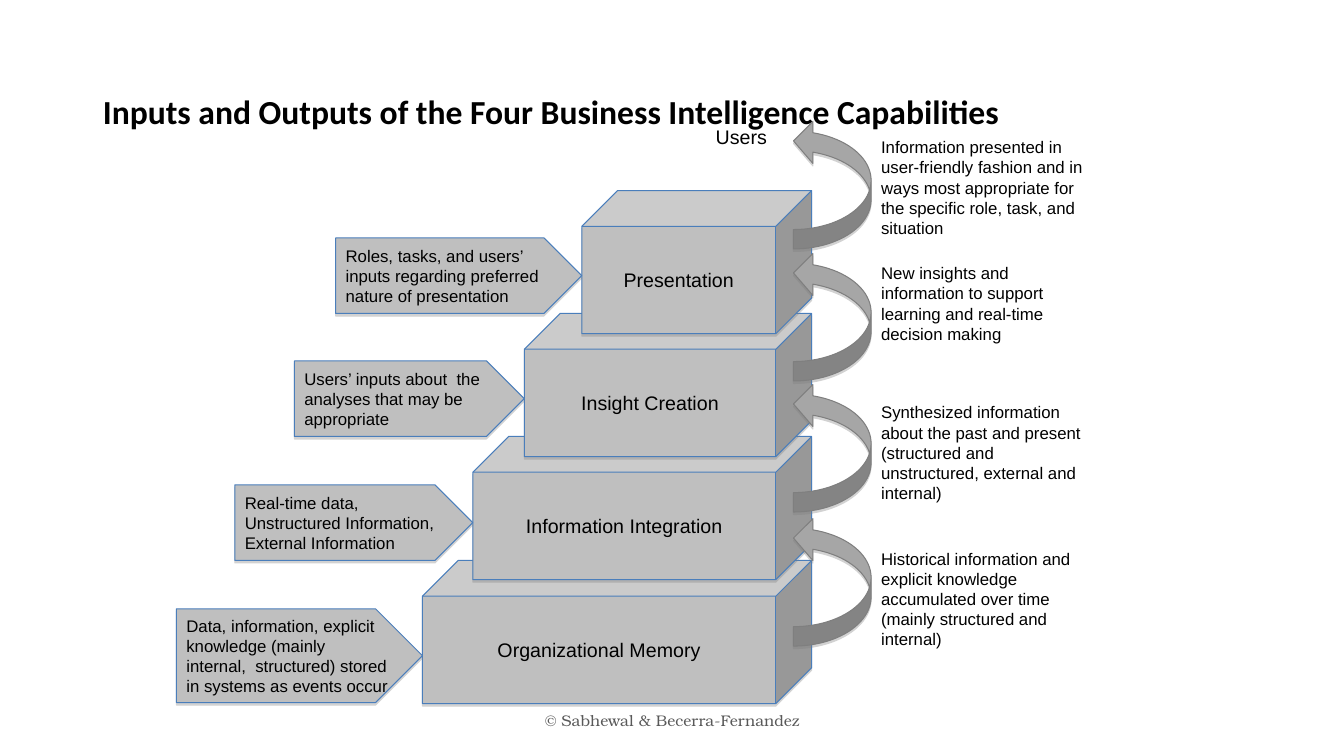
"""Build the slide on inputs and outputs of the four business intelligence capabilities."""
from lxml import etree
from pptx import Presentation
from pptx.dml.color import RGBColor
from pptx.enum import shapes, text
from pptx.oxml.ns import qn
from pptx.util import Pt

PX = 9144
COLORS = {"block": "BFBFBF", "edge": "4A7EBB", "arrow": "A6A6A6", "arrow_edge": "7F7F7F",
          "shadow": "808080", "text": "000000", "footer": "595959"}
KINDS = shapes.MSO_SHAPE
ALIGN = text.PP_ALIGN
CUBE_RIGHT, CUBE_HEIGHT = 805, 142

# name, cube left, cube top, (input top, width, height), input, arrow top, output top, (width, height), output
LEVELS = [
    ("Organizational Memory", 419, 556, (604, 244, 93),
     "Data, information, explicit knowledge (mainly internal,  structured) stored in systems as events occur",
     513, 539, (228, 111),
     "Historical information and explicit knowledge accumulated over time (mainly structured and internal)"),
    ("Information Integration", 469, 433, (481, 236, 75),
     "Real-time data,\nUnstructured Information, External Information",
     380, 394, (219, 111),
     "Synthesized information about the past and present (structured and unstructured, external and internal)"),
    ("Insight Creation", 520, 311, (358, 228, 75),
     "Users’ inputs about  the analyses that may be appropriate",
     250, 256, (228, 91),
     "New insights and information to support learning and real-time decision making"),
    ("Presentation", 577, 189, (236, 244, 75),
     "Roles, tasks, and users’ inputs regarding preferred nature of presentation",
     119, 131, (228, 111),
     "Information presented in user-friendly fashion and in ways most appropriate for "
     "the specific role, task, and situation"),
]

prs = Presentation()
prs.slide_width, prs.slide_height = 1333 * PX, 750 * PX
slide = prs.slides.add_slide(prs.slide_layouts[5])


def write(sp, words, size, font="Arial", color="text", align=ALIGN.LEFT,
          anchor=text.MSO_ANCHOR.MIDDLE, wrap=True):
    tf = sp.text_frame
    tf.text = words
    tf.word_wrap = wrap
    tf.vertical_anchor = anchor
    for p in tf.paragraphs:
        p.alignment = align
        for r in p.runs:
            r.font.size, r.font.name = Pt(size), font
            r.font.color.rgb = RGBColor.from_string(COLORS[color])


def add_block(kind, left, top, width, height, fill="block", edge="edge"):
    sp = slide.shapes.add_shape(kind, left * PX, top * PX, width * PX, height * PX)
    sp.fill.solid()
    sp.fill.fore_color.rgb = RGBColor.from_string(COLORS[fill])
    sp.line.color.rgb = RGBColor.from_string(COLORS[edge])
    sp.line.width = Pt(0.75)
    sp.shadow.inherit = False
    effects = sp._element.spPr.find(qn("a:effectLst"))
    shadow = etree.SubElement(effects, qn("a:outerShdw"), blurRad="0", dist="23000",
                              dir="5400000", rotWithShape="0")
    tint = etree.SubElement(shadow, qn("a:srgbClr"), val=COLORS["shadow"])
    etree.SubElement(tint, qn("a:alpha"), val="35000")
    return sp


for name, left, top, *_ in LEVELS:
    cube = add_block(KINDS.CUBE, left, top, CUBE_RIGHT - left, CUBE_HEIGHT)
    write(cube, name, 14, align=ALIGN.CENTER)

for _, left, _, (in_top, in_width, in_height), inputs, arrow_top, out_top, out_size, outputs in LEVELS:
    plate = add_block(KINDS.PENTAGON, left - in_width, in_top, in_width, in_height)
    write(plate, inputs, 12)

    arrow = add_block(KINDS.CURVED_LEFT_ARROW, 787, arrow_top, 77, 128, "arrow", "arrow_edge")
    arrow.adjustments[0], arrow.adjustments[1], arrow.adjustments[2] = 0.25, 0.54, 0.25
    arrow._element.spPr.find(qn("a:xfrm")).set("flipV", "1")

    label = slide.shapes.add_textbox(864 * PX, out_top * PX, out_size[0] * PX, out_size[1] * PX)
    write(label, outputs, 12, anchor=text.MSO_ANCHOR.TOP)

users = slide.shapes.add_textbox(700 * PX, 119 * PX, 72 * PX, 34 * PX)
write(users, "Users", 14, anchor=text.MSO_ANCHOR.TOP, wrap=False)

title = slide.shapes.title
title.left, title.top, title.width, title.height = 92 * PX, 40 * PX, 1150 * PX, 145 * PX
write(title, "Inputs and Outputs of the Four Business Intelligence Capabilities", 24, "Calibri")
title.text_frame.paragraphs[0].line_spacing = 0.9
title.text_frame.paragraphs[0].runs[0].font.bold = True

footer = slide.shapes.add_textbox(442 * PX, 695 * PX, 450 * PX, 40 * PX)
write(footer, "© Sabhewal & Becerra-Fernandez", 11, "TeX Gyre Bonum", "footer", ALIGN.CENTER)

prs.save("out.pptx")
